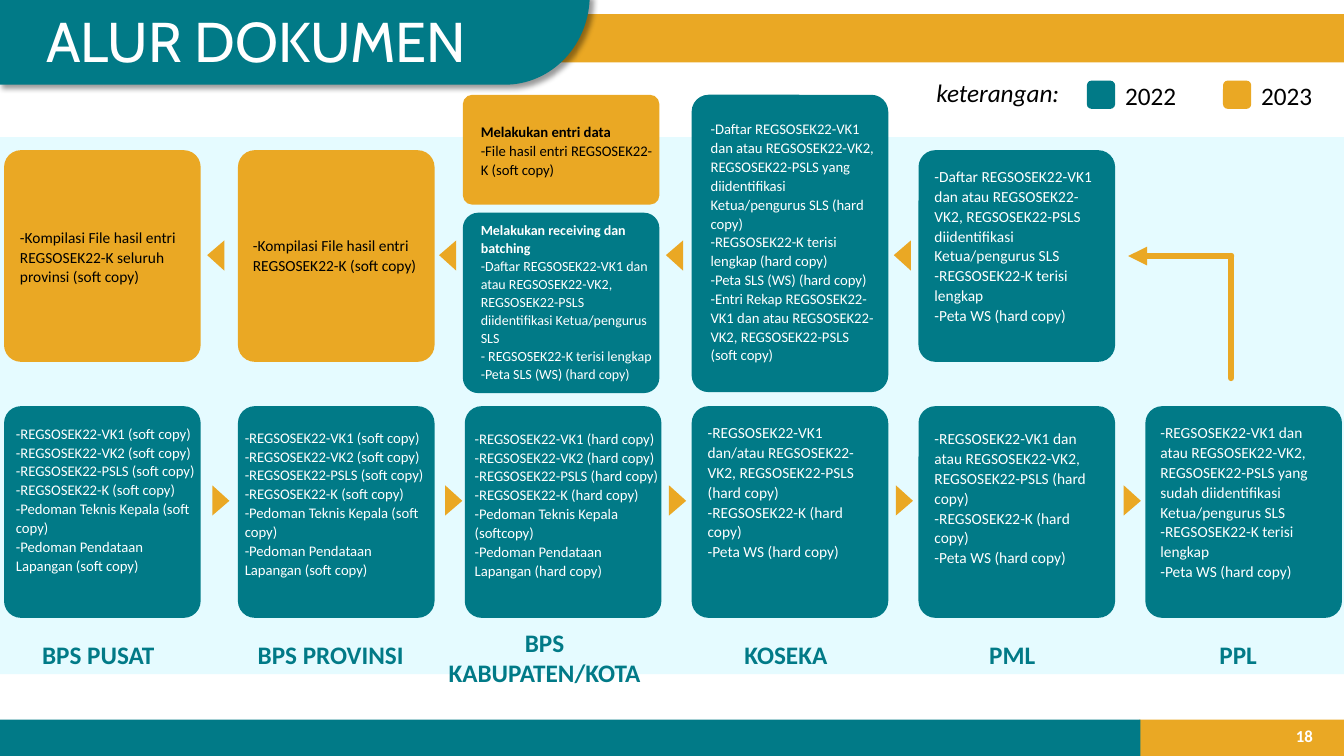
from math import cos, pi, sin

from lxml.etree import SubElement
from pptx import Presentation
from pptx.dml.color import RGBColor
from pptx.enum.shapes import MSO_CONNECTOR as Connector, MSO_SHAPE as Shape
from pptx.enum.text import MSO_ANCHOR as Anchor, MSO_AUTO_SIZE as AutoSize, PP_ALIGN as Align
from pptx.oxml.ns import qn
from pptx.util import Pt

SCALE = 9144  # EMU per px, 100 px to the inch
COLORS = {"teal": "017A87", "gold": "EAA824", "ice": "E5FBFF", "white": "FFFFFF", "black": "000000"}


def emu(*lengths):
    return [round(length * SCALE) for length in lengths]


def color(name):
    return RGBColor.from_string(COLORS[name])


class FlowSlide:
    FONT = "Calibri"
    CARD_WIDTH = 195
    CORNER = 17  # px

    def __init__(self, slide):
        self.slide = slide
        self.shapes = slide.shapes

    def paint(self, shape, fill):
        shape.fill.solid()
        shape.fill.fore_color.rgb = color(fill)
        shape.line.fill.background()
        shape.shadow.inherit = False
        return shape

    def block(self, left, top, width, height, fill, kind=Shape.RECTANGLE):
        return self.paint(self.shapes.add_shape(kind, *emu(left, top, width, height)), fill)

    def style(self, paragraph, size, ink, bold=False, italic=False, font=FONT):
        face = paragraph.font
        face.name, face.size, face.bold, face.italic = font, Pt(size), bold, italic
        face.color.rgb = color(ink)

    def text(self, left, top, width, height, lines, size, ink, bold=False, italic=False,
             align=Align.LEFT, wrap=True, spacing=None, heading=False):
        frame = self.shapes.add_textbox(*emu(left, top, width, height)).text_frame
        frame.word_wrap = wrap
        frame.text = "\n".join(lines)
        for number, paragraph in enumerate(frame.paragraphs):
            paragraph.alignment = align
            if spacing:
                paragraph.line_spacing = spacing
            self.style(paragraph, size, ink, bold or (heading and number == 0), italic)
        return frame

    def card(self, left, top, height, fill, text_box, size, lines, heading=False):
        card = self.block(left, top, self.CARD_WIDTH, height, fill, Shape.ROUNDED_RECTANGLE)
        card.adjustments[0] = 0.086
        ink = "black" if fill == "gold" else "white"
        self.text(*text_box, lines, size, ink, spacing=1.07, heading=heading)

    def pointer(self, left, top, rotation):
        triangle = self.block(left, top, 30, 17, "gold", Shape.ISOSCELES_TRIANGLE)
        triangle.adjustments[0] = 0.514
        triangle.rotation = rotation

    def line(self, start, end, arrow=False):
        line = self.shapes.add_connector(Connector.STRAIGHT, *emu(*start, *end))
        line.line.color.rgb = color("gold")
        line.line.width = Pt(4.5)
        outline = line.line._get_or_add_ln()
        outline.set("cap", "rnd")
        if arrow:
            SubElement(outline, qn("a:headEnd"), type="triangle")
        SubElement(line._element.spPr, qn("a:effectLst"))

    def title_tab(self, left, top, right, bottom, radius):
        """Banner whose lower right corner is a quarter ellipse."""
        steps, height = 32, bottom - top
        angles = [pi / 2 * step / steps for step in range(steps + 1)]
        curve = [(right - radius + radius * cos(a), top + height * sin(a)) for a in angles]
        builder = self.shapes.build_freeform(*emu(left, top))
        builder.add_line_segments([emu(*point) for point in curve + [(left, bottom)]])
        tab = self.paint(builder.convert_to_shape(), "teal")
        effects = tab._element.spPr.find(qn("a:effectLst"))
        shadow = SubElement(effects, qn("a:outerShdw"), blurRad=str(Pt(4)), dist=str(Pt(3)),
                            dir="2700000", algn="tl", rotWithShape="0")
        SubElement(SubElement(shadow, qn("a:srgbClr"), val=COLORS["black"]), qn("a:alpha"), val="40000")

    def title(self, wording, left, top, width, height):
        title = self.shapes.title
        title.left, title.top, title.width, title.height = emu(left, top, width, height)
        frame = title.text_frame
        frame.text = wording
        frame.auto_size = AutoSize.NONE
        frame.word_wrap = False
        frame.vertical_anchor = Anchor.TOP
        heading = frame.paragraphs[0]
        heading.alignment = Align.LEFT
        heading.line_spacing = 1.0
        self.style(heading, 40, "white", font="Cabin")
        title._element.getparent().append(title._element)  # in front of the tab


SOFT_COPIES = [
    "-REGSOSEK22-VK1 (soft copy)", "-REGSOSEK22-VK2 (soft copy)", "-REGSOSEK22-PSLS (soft copy)",
    "-REGSOSEK22-K (soft copy)", "-Pedoman Teknis Kepala (soft copy)",
    "-Pedoman Pendataan Lapangan (soft copy)"]
HARD_COPIES = [line.replace("Kepala (soft copy)", "Kepala (softcopy)").replace("soft copy", "hard copy")
               for line in SOFT_COPIES]
COMPLETE = "-REGSOSEK22-K terisi lengkap"
MAP = "-Peta WS (hard copy)"
SLS_MAP = "-Peta SLS (WS) (hard copy)"
BOTH_FORMS = "REGSOSEK22-VK1 dan atau REGSOSEK22-VK2, REGSOSEK22-PSLS"
IDENTIFIED = "diidentifikasi Ketua/pengurus SLS"

# Card left, text box, text size, lines
OUTGOING = [
    (4, (6, 415, 199, 198), 10.5, SOFT_COPIES),
    (236, (233, 419, 203, 160), 10.5, SOFT_COPIES),
    (461, (461, 420, 203, 179), 10.5, HARD_COPIES),
    (686, (692, 414, 184, 148), 11,
     ["-REGSOSEK22-VK1 dan/atau REGSOSEK22-VK2, REGSOSEK22-PSLS (hard copy)",
      "-REGSOSEK22-K (hard copy)", MAP]),
    (911, (917, 420, 184, 148), 11, [f"-{BOTH_FORMS} (hard copy)", "-REGSOSEK22-K (hard copy)", MAP]),
    (1136, (1141, 414, 184, 168), 11, [f"-{BOTH_FORMS} yang sudah {IDENTIFIED}", COMPLETE, MAP]),
]

# Card left, top, height, fill, text box, text size, lines, bold first line
RETURNING = [
    (4, 149, 210, "gold", (10, 220, 184, 69), 11,
     ["-Kompilasi File hasil entri REGSOSEK22-K seluruh provinsi (soft copy)"], False),
    (236, 149, 210, "gold", (241, 228, 184, 49), 11,
     ["-Kompilasi File hasil entri REGSOSEK22-K (soft copy)"], False),
    (459, 211, 179, "teal", (467, 214, 195, 171), 10,
     ["Melakukan receiving dan batching", f"-Daftar {BOTH_FORMS} {IDENTIFIED}",
      "- REGSOSEK22-K terisi lengkap", SLS_MAP], True),
    (459, 94, 109, "gold", (467, 116, 195, 66), 10.5,
     ["Melakukan entri data", "-File hasil entri REGSOSEK22-K (soft copy)"], True),
    (686, 94, 295, "teal", (695, 113, 184, 255), 10.5,
     [f"-Daftar {BOTH_FORMS} yang {IDENTIFIED} (hard copy)", f"{COMPLETE} (hard copy)", SLS_MAP,
      f"-Entri Rekap {BOTH_FORMS} (soft copy)"], False),
    (911, 149, 210, "teal", (917, 160, 184, 168), 11,
     [f"-Daftar {BOTH_FORMS} {IDENTIFIED}", COMPLETE, MAP], False),
]

# Label left, top, width, height, wording, wrap
OFFICES = [
    (31, 629, 133, 40, "BPS PUSAT", False),
    (245, 629, 166, 40, "BPS PROVINSI", False),
    (429, 617, 222, 71, "BPS KABUPATEN/KOTA", True),
    (728, 629, 103, 40, "KOSEKA", False),
    (971, 629, 66, 40, "PML", False),
    (1199, 629, 58, 40, "PPL", False),
]


def main():
    deck = Presentation()
    deck.slide_width, deck.slide_height = emu(1333, 750)
    flow = FlowSlide(deck.slides.add_slide(deck.slide_layouts[5]))

    # Bands, page number and title
    flow.block(1130, 714, 203, 36, "gold")
    flow.block(505, 14, 828, 48, "gold")
    page = flow.text(1265, 710, 47, 40, ["18"], 12, "white", bold=True, align=Align.RIGHT)
    page.vertical_anchor = Anchor.MIDDLE
    flow.block(-1, 714, 1132, 36, "teal")
    flow.title_tab(-1, -5, 585, 84, 84)
    flow.title("ALUR DOKUMEN", 36, 1, 462, 77)
    flow.block(-1, 136, 1335, 533, "ice")

    # Office names
    for left, top, width, height, office, wrap in OFFICES:
        flow.text(left, top, width, height, [office], 18, "teal", bold=True, align=Align.CENTER, wrap=wrap)

    # Outgoing documents below, returning documents above
    for left, text_box, size, lines in OUTGOING:
        flow.card(left, 403, 210, "teal", text_box, size, lines)
    for card in RETURNING:
        flow.card(*card)

    # Direction of flow
    for left in (204, 435, 657, 882, 1108):
        flow.pointer(left, 488, 90)
    for left in (199, 429, 654, 880):
        flow.pointer(left, 245, 270)
    flow.line((1221, 375), (1221, 254))
    flow.line((1119, 254), (1221, 254), arrow=True)

    # Legend
    flow.text(919, 72, 143, 40, ["keterangan:"], 18, "black", italic=True, wrap=False)
    for left, year, fill in ((1078, "2022", "teal"), (1213, "2023", "gold")):
        flow.block(left, 80, 28, 28, fill, Shape.ROUNDED_RECTANGLE)
        flow.text(left + 28, 75, 71, 40, [year], 18, "black", wrap=False)

    deck.save("out.pptx")


if __name__ == "__main__":
    main()
